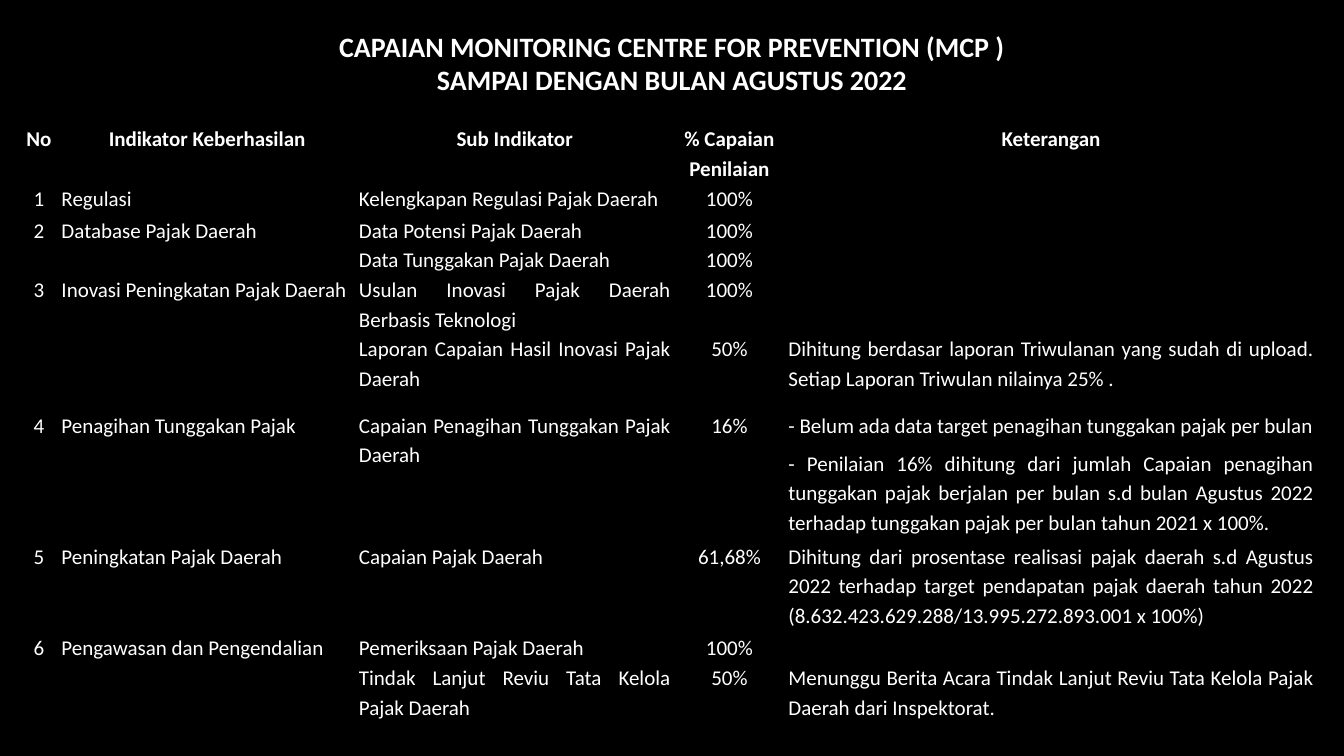
import pptx
import pptx.dml.color
import pptx.enum.text
import pptx.oxml.ns
import pptx.util
from lxml import etree

PX = 9144  # EMU, 100 px to the inch
WHITE, BLACK = "FFFFFF", "000000"
ALIGN = pptx.enum.text.PP_ALIGN
qn = pptx.oxml.ns.qn

COLS = [39, 295, 315, 111, 527]
ROWS = [21, 32, 21, 21, 43, 76, 130, 91, 21, 65]
HEAD = ["No", "Indikator Keberhasilan", "Sub Indikator", "% Capaian Penilaian", "Keterangan"]
BODY = [
    ["1", "Regulasi", "Kelengkapan Regulasi Pajak Daerah", "100%", ""],
    ["2", "Database Pajak Daerah", "Data Potensi Pajak Daerah", "100%", ""],
    ["", "", "Data Tunggakan Pajak Daerah", "100%", ""],
    ["3", "Inovasi Peningkatan Pajak Daerah",
     "Usulan Inovasi Pajak Daerah Berbasis Teknologi", "100%", ""],
    ["", "", "Laporan Capaian Hasil Inovasi Pajak Daerah", "50%",
     "Dihitung berdasar laporan Triwulanan yang sudah di upload. "
     "Setiap Laporan Triwulan nilainya 25% ."],
    ["4", "Penagihan Tunggakan Pajak", "Capaian Penagihan Tunggakan Pajak Daerah", "16%",
     "- Belum ada data target penagihan tunggakan pajak per bulan\n"
     "- Penilaian 16% dihitung dari jumlah Capaian penagihan tunggakan pajak berjalan "
     "per bulan s.d bulan Agustus 2022 terhadap tunggakan pajak per bulan tahun 2021 x 100%."],
    ["5", "Peningkatan Pajak Daerah", "Capaian Pajak Daerah", "61,68%",
     "Dihitung dari prosentase realisasi pajak daerah s.d Agustus 2022 terhadap target "
     "pendapatan pajak daerah tahun 2022 (8.632.423.629.288/13.995.272.893.001 x 100%)"],
    ["6", "Pengawasan dan Pengendalian", "Pemeriksaan Pajak Daerah", "100%", ""],
    ["", "", "Tindak Lanjut Reviu Tata Kelola Pajak Daerah", "50%",
     "Menunggu Berita Acara Tindak Lanjut Reviu Tata Kelola Pajak Daerah dari Inspektorat."],
]


def px(*nums):
    return [pptx.util.Emu(num * PX) for num in nums]


def color(code):
    return pptx.dml.color.RGBColor.from_string(code)


def write(frame, text, size=15, bold=False, align=ALIGN.CENTER, space=None, after=None):
    """Fill a text frame, one paragraph per line of text."""
    for num, line in enumerate(text.split("\n")):
        para = frame.add_paragraph() if num else frame.paragraphs[0]
        para.alignment = align
        para.line_spacing = space
        if after is not None:
            para.space_after = pptx.util.Pt(after)
        run = para.add_run()
        run.text = line
        font = run.font
        font.name, font.size, font.bold = "Calibri", pptx.util.Pt(size), bold
        font.color.rgb = color(WHITE)


def border(cell, code):
    props = cell._tc.get_or_add_tcPr()
    for side in "LRTB":
        line = etree.SubElement(props, qn("a:ln" + side), w="12700")
        fill = etree.SubElement(line, qn("a:solidFill"))
        etree.SubElement(fill, qn("a:srgbClr"), val=code)


def set_cell(cell, text, **form):
    cell.margin_left, cell.margin_right = px(3, 3)
    cell.margin_top = cell.margin_bottom = 0
    border(cell, BLACK)
    cell.fill.background()
    if text:
        write(cell.text_frame, text, space=1.15, after=6, **form)
    else:
        para = cell.text_frame.paragraphs[0]._p
        etree.SubElement(para, qn("a:endParaRPr"), sz="1500")


def add_grid(slide):
    frame = slide.shapes.add_table(len(ROWS), len(COLS), *px(19, 122, 1287, 587))
    table = frame.table
    table.first_row = table.horz_banding = False
    for col, wide in zip(table.columns, COLS):
        col.width = px(wide)[0]
    for row, high in zip(table.rows, ROWS):
        row.height = px(high)[0]
    frame.height = px(587)[0]
    for r, texts in enumerate([HEAD] + BODY):
        for c, text in enumerate(texts):
            mid = r == 0 or c in (0, 3)
            set_cell(table.cell(r, c), text, bold=r == 0,
                     align=ALIGN.CENTER if mid else ALIGN.JUSTIFY)


def add_title(slide):
    frame = slide.shapes.add_textbox(*px(324, 24, 685, 77)).text_frame
    frame.word_wrap = False
    frame.auto_size = pptx.enum.text.MSO_AUTO_SIZE.SHAPE_TO_FIT_TEXT
    write(frame, "CAPAIAN MONITORING CENTRE FOR PREVENTION (MCP )\n"
          "SAMPAI DENGAN BULAN AGUSTUS 2022", size=20, bold=True)


def main():
    deck = pptx.Presentation()
    deck.slide_width, deck.slide_height = px(1333, 750)
    slide = deck.slides.add_slide(deck.slide_layouts[6])
    back = slide.background.fill
    back.solid()
    back.fore_color.rgb = color(BLACK)
    add_grid(slide)
    add_title(slide)
    deck.save("out.pptx")


if __name__ == "__main__":
    main()
